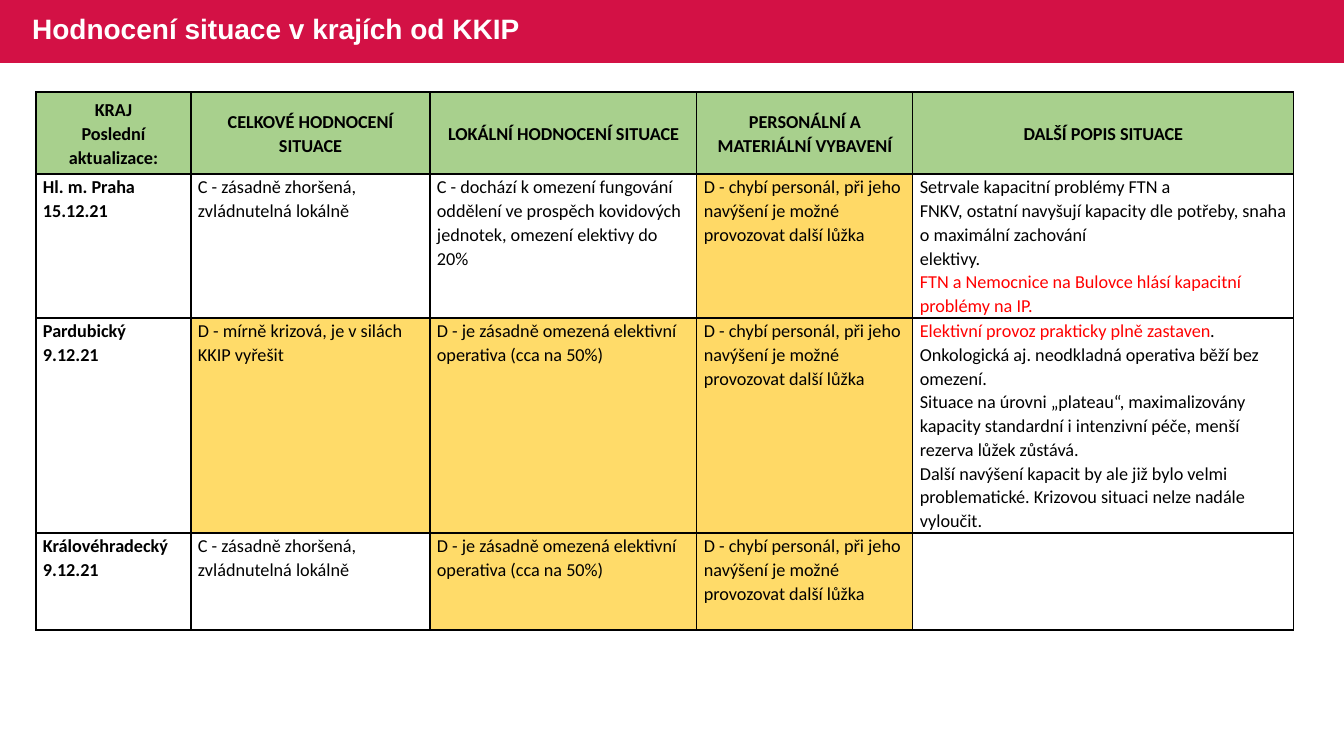
from dataclasses import dataclass

from pptx import Presentation
from pptx.dml.color import RGBColor
from pptx.enum.shapes import MSO_SHAPE
from pptx.enum.text import MSO_ANCHOR, MSO_AUTO_SIZE, PP_ALIGN
from pptx.oxml import parse_xml
from pptx.oxml.ns import nsdecls
from pptx.util import Emu, Pt

RECTANGLE = MSO_SHAPE.RECTANGLE
TOP, MIDDLE = MSO_ANCHOR.TOP, MSO_ANCHOR.MIDDLE
LEFT, CENTER = PP_ALIGN.LEFT, PP_ALIGN.CENTER


@dataclass(frozen=True)
class Theme:
    band: str = "D31145"
    white: str = "FFFFFF"
    black: str = "000000"
    alert: str = "FF0000"
    header: str = "A8D08D"
    staff: str = "FFD966"
    crisis: str = "FFDB69"
    title_font: str = "Arial"
    table_font: str = "Calibri"
    title_size: int = 20
    table_size: int = 13
    border_width: int = 1


theme = Theme()
SLIDE_WIDTH, SLIDE_HEIGHT = 1344, 756


def px(length):
    return Emu(round(length * 12192000 / SLIDE_WIDTH))


def add_text(paragraph, text, font_name, size, color, bold):
    for index, line in enumerate(text.split("\n")):
        if index:
            paragraph.add_line_break()
        run = paragraph.add_run()
        run.text = line
        run.font.name = font_name
        run.font.size = Pt(size)
        run.font.bold = bold
        run.font.color.rgb = RGBColor.from_string(color)


presentation = Presentation()
presentation.slide_width = px(SLIDE_WIDTH)
presentation.slide_height = px(SLIDE_HEIGHT)
slide = presentation.slides.add_slide(presentation.slide_layouts[5])

band = slide.shapes.add_shape(RECTANGLE, 0, 0, px(SLIDE_WIDTH), px(63))
band.shadow.inherit = False
band.fill.solid()
band.fill.fore_color.rgb = RGBColor.from_string(theme.band)
band.line.fill.background()

title = slide.shapes.title
title.element.addprevious(band.element)
title.left, title.top, title.width, title.height = px(22), px(-1), px(820), px(63)
title.text_frame.auto_size = MSO_AUTO_SIZE.NONE
title.text_frame.word_wrap = True
title.text_frame.vertical_anchor = MIDDLE
title_paragraph = title.text_frame.paragraphs[0]
title_paragraph.alignment = LEFT
title_paragraph.line_spacing = 0.9
add_text(title_paragraph, "Hodnocení situace v krajích od KKIP",
         theme.title_font, theme.title_size, theme.white, True)

WORSENED = (theme.white, ["C - zásadně zhoršená, zvládnutelná lokálně"])
LIMITED = (theme.crisis, ["D - je zásadně omezená elektivní operativa (cca na 50%)"])
STAFF_TEXT = ["D - chybí personál, při jeho navýšení je možné provozovat další lůžka"]

headers = [
    ["KRAJ", "Poslední aktualizace:"],
    ["CELKOVÉ HODNOCENÍ SITUACE"],
    ["LOKÁLNÍ HODNOCENÍ SITUACE"],
    ["PERSONÁLNÍ A MATERIÁLNÍ VYBAVENÍ"],
    ["DALŠÍ POPIS SITUACE"],
]
rows = [
    [(theme.header, lines) for lines in headers],
    [
        (theme.white, ["Hl. m. Praha", "15.12.21"]),
        WORSENED,
        (theme.white, ["C - dochází k omezení fungování oddělení ve prospěch "
                       "kovidových jednotek, omezení elektivy do 20%"]),
        (theme.staff, STAFF_TEXT),
        (theme.white, [
            "Setrvale kapacitní problémy FTN a\nFNKV, ostatní navyšují kapacity "
            "dle potřeby, snaha o maximální zachování\nelektivy.",
            [("FTN a Nemocnice na Bulovce hlásí kapacitní problémy na IP.", theme.alert)],
        ]),
    ],
    [
        (theme.white, ["Pardubický", "9.12.21"]),
        (theme.crisis, ["D - mírně krizová, je v silách KKIP vyřešit"]),
        LIMITED,
        (theme.staff, STAFF_TEXT),
        (theme.white, [
            [("Elektivní provoz prakticky plně zastaven", theme.alert),
             (". Onkologická aj. neodkladná operativa běží bez omezení.", theme.black)],
            "Situace na úrovni „plateau“, maximalizovány kapacity standardní "
            "i intenzivní péče, menší rezerva lůžek zůstává.",
            "Další navýšení kapacit by ale již bylo velmi problematické. "
            "Krizovou situaci nelze nadále vyloučit.",
        ]),
    ],
    [
        (theme.white, ["Královéhradecký", "9.12.21"]),
        WORSENED,
        LIMITED,
        (theme.crisis, STAFF_TEXT),
        (theme.white, []),
    ],
]
column_widths = [155, 239, 267, 216, 381]
row_heights = [82, 144, 215, 97]

table = slide.shapes.add_table(
    len(rows), len(column_widths), px(36), px(92),
    px(sum(column_widths)), px(sum(row_heights))).table
table.first_row = False
table.horz_banding = False
for column, width in zip(table.columns, column_widths):
    column.width = px(width)
for row, height in zip(table.rows, row_heights):
    row.height = px(height)

for row_index, row_cells in enumerate(rows):
    for column_index, (fill, paragraphs) in enumerate(row_cells):
        is_header = row_index == 0
        cell = table.cell(row_index, column_index)
        cell.margin_left = cell.margin_right = px(7)
        cell.margin_top, cell.margin_bottom = px(1), 0
        cell.vertical_anchor = MIDDLE if is_header else TOP
        cell.fill.solid()
        cell.fill.fore_color.rgb = RGBColor.from_string(fill)
        properties = cell._tc.get_or_add_tcPr()
        for position, side in enumerate(("lnL", "lnR", "lnT", "lnB")):
            properties.insert(position, parse_xml(
                f'<a:{side} {nsdecls("a")} w="{Pt(theme.border_width)}"><a:solidFill>'
                f'<a:srgbClr val="{theme.black}"/></a:solidFill></a:{side}>'))
        for index, content in enumerate(paragraphs):
            frame = cell.text_frame
            paragraph = frame.add_paragraph() if index else frame.paragraphs[0]
            paragraph.alignment = CENTER if is_header else LEFT
            paragraph.line_spacing = 1.07
            runs = [(content, theme.black)] if isinstance(content, str) else content
            for text, color in runs:
                add_text(paragraph, text, theme.table_font, theme.table_size,
                         color, is_header or column_index == 0)

presentation.save("out.pptx")
